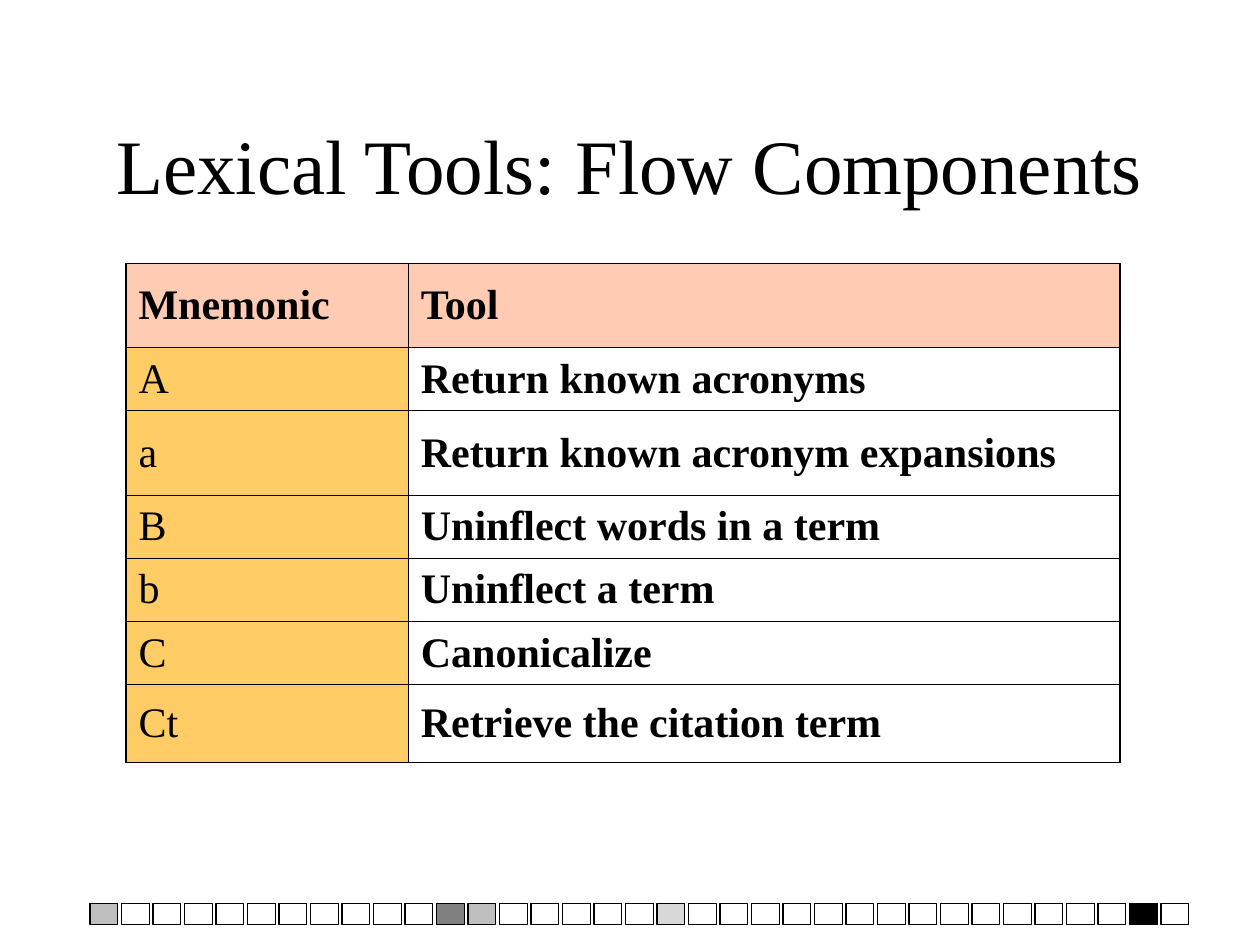
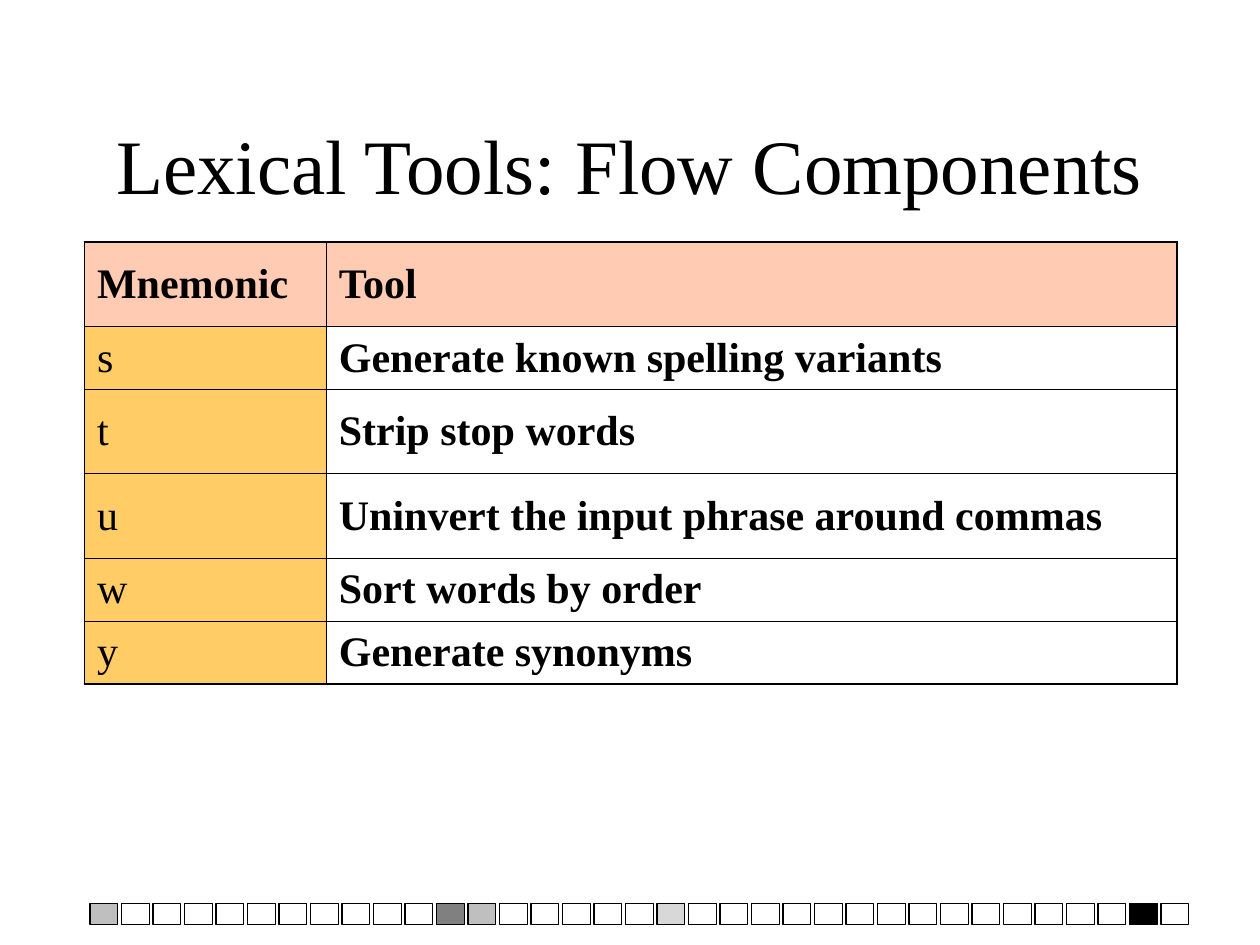
from lxml.etree import SubElement
from pptx import Presentation
from pptx.dml.color import RGBColor
from pptx.enum.shapes import MSO_SHAPE
from pptx.enum.text import MSO_ANCHOR, PP_ALIGN
from pptx.oxml.ns import qn
from pptx.util import Inches, Pt

# Shared look
FONT = "Times New Roman"
BLACK, WHITE = "000000", "FFFFFF"
HEADER, KEY = "FF9966", "FFCC66"
THIN, THICK = 0.45, 1.08
TITLE = "Lexical Tools: Flow Components"

# Footer strip: square index -> (fill, opacity in percent)
SQUARES = 35
SHADED = {0: ("808080", 50), 11: ("808080", 100), 12: ("808080", 50),
          18: ("B2B2B2", 50), 33: (BLACK, 100)}

# Slide contents
ACRONYM_TOOLS = [
    ("Mnemonic", "Tool"),
    ("A", "Return known acronyms"),
    ("a", "Return known acronym expansions"),
    ("B", "Uninflect words in a term"),
    ("b", "Uninflect a term"),
    ("C", "Canonicalize"),
    ("Ct", "Retrieve the citation term"),
]
WORD_TOOLS = [
    ("Mnemonic", "Tool"),
    ("s", "Generate known spelling variants"),
    ("t", "Strip stop words"),
    ("u", "Uninvert the input phrase around commas"),
    ("w", "Sort words by order"),
    ("y", "Generate synonyms"),
]


def rgb(color):
    return RGBColor.from_string(color)


def set_fill(fill, props, color, opacity=100):
    """Solid fill; props is the XML element that holds it."""
    fill.solid()
    fill.fore_color.rgb = rgb(color)
    if opacity < 100:
        clr = props.find(qn("a:solidFill")).find(qn("a:srgbClr"))
        SubElement(clr, qn("a:alpha"), val=str(opacity * 1000))


def add_text(tf, text, size, bold=False, align=PP_ALIGN.LEFT):
    p = tf.paragraphs[0]
    p.alignment = align
    r = p.add_run()
    r.text = text
    r.font.name, r.font.size, r.font.bold = FONT, Pt(size), bold
    r.font.color.rgb = rgb(BLACK)


def add_title(s):
    tf = s.shapes.add_textbox(Inches(0.75), Inches(0.67),
                              Inches(8.5), Inches(1.25)).text_frame
    tf.word_wrap = True
    tf.vertical_anchor = MSO_ANCHOR.MIDDLE
    add_text(tf, TITLE, 44, align=PP_ALIGN.CENTER)


def add_footer_strip(s):
    for i in range(SQUARES):
        sp = s.shapes.add_shape(MSO_SHAPE.RECTANGLE, Inches(0.715 + 0.25 * i),
                                Inches(7.17), Inches(0.22), Inches(0.17))
        sp.shadow.inherit = False
        sp.line.color.rgb = rgb(BLACK)
        sp.line.width = Pt(0.75)
        if i in SHADED:
            set_fill(sp.fill, sp.element.spPr, *SHADED[i])
        else:
            sp.fill.background()


def set_borders(props, widths):
    """Widths in points, in the order left, right, top, bottom."""
    for side, width in zip("LRTB", widths):
        ln = SubElement(props, qn(f"a:ln{side}"), w=str(Pt(width)))
        SubElement(SubElement(ln, qn("a:solidFill")), qn("a:srgbClr"), val=BLACK)


def add_tool_table(s, rows, left, top, col_widths, row_heights):
    n_rows, n_cols = len(rows), len(col_widths)
    table = s.shapes.add_table(
        n_rows, n_cols, Inches(left), Inches(top),
        Inches(sum(col_widths)), Inches(sum(row_heights))).table
    table.first_row = table.horz_banding = False
    for col, width in zip(table.columns, col_widths):
        col.width = Inches(width)
    for row, height in zip(table.rows, row_heights):
        row.height = Inches(height)

    for i, texts in enumerate(rows):
        for j, text in enumerate(texts):
            cell = table.cell(i, j)
            cell.vertical_anchor = MSO_ANCHOR.MIDDLE
            add_text(cell.text_frame, text, 24, bold=i == 0 or j == 1)
            # Thick lines run round the outside only
            outer = (j == 0, j == n_cols - 1, i == 0, i == n_rows - 1)
            props = cell._tc.get_or_add_tcPr()
            set_borders(props, [THICK if edge else THIN for edge in outer])
            if i == 0:
                set_fill(cell.fill, props, HEADER, 50)
            else:
                set_fill(cell.fill, props, KEY if j == 0 else WHITE)


def add_tool_slide(prs, rows, **layout):
    s = prs.slides.add_slide(prs.slide_layouts[6])
    add_footer_strip(s)
    add_title(s)
    add_tool_table(s, rows, **layout)


def main():
    prs = Presentation()
    prs.slide_width, prs.slide_height = Inches(10), Inches(7.5)
    add_tool_slide(prs, ACRONYM_TOOLS, left=1, top=2.09,
                   col_widths=[2.24, 5.65],
                   row_heights=[0.67, 0.5, 0.67, 0.5, 0.5, 0.5, 0.62])
    add_tool_slide(prs, WORD_TOOLS, left=0.67, top=1.92,
                   col_widths=[1.92, 6.75],
                   row_heights=[0.67, 0.5, 0.67, 0.67, 0.5, 0.5])
    prs.save("out.pptx")


if __name__ == "__main__":
    main()
